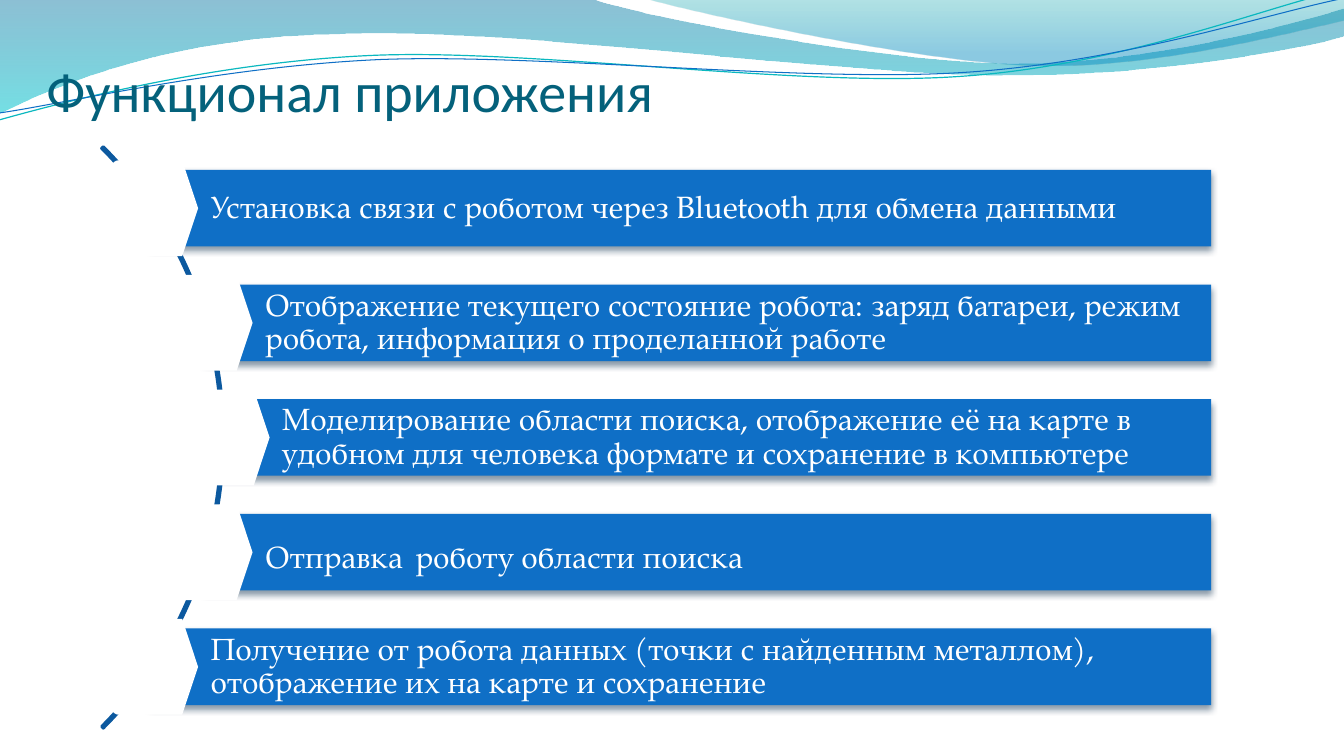
from lxml import etree
from pptx import Presentation
from pptx.dml.color import RGBColor
from pptx.enum import shapes as sh, text as tx
from pptx.oxml.ns import qn
from pptx.util import Pt

BLUE, WHITE = "0F6FC6", "FFFFFF"

# Outlines in points: a pair is a line end, six numbers are a cubic curve
BACK = [(0, 0), (422.6, -0.7), (456.5, 12.2, 637.2, 45.4, 727.9, 45.4),
        (819.4, 45.4, 920.2, 18.7, 959.8, 6.5), (961.2, 25.9),
        (943.9, 31.7, 835.2, 54.7, 715.7, 54),
        (596.9, 54, 366.5, 20.2, 247, 24.5),
        (123.1, 25.9, 43.9, 59.8, -0.7, 81.4)]
FRONT = [(460.1, -0.7), (488.9, 7.9, 654.5, 44.6, 738, 46.8),
         (821.5, 49.7, 923, 23, 959.8, 15.1), (959.8, 0)]
TEAL_LINE = [(-0.7, 85.7), (46.1, 72.7, 151.9, 44.6, 265.7, 39.6),
             (379.4, 34.6, 568.8, 62.6, 684, 54.7),
             (799.2, 47.5, 901.4, 5.8, 958.3, -7.2)]
BLUE_LINE = [(0, 80.6), (45.4, 74.2, 157, 47.5, 272.2, 42.5),
             (386.6, 38.2, 573.1, 59, 687.6, 51.8),
             (802.8, 44.6, 903.6, 10.1, 960.5, -1.4)]

# Left edges of the bars by distance from the middle one
LEFTS = (158.4, 146.2, 107.3)

# Each item is a list of (words, size) runs
ITEMS = [
    [("Установка связи с роботом через Bluetooth для обмена данными", 22)],
    [("Отображение текущего состояние робота: заряд батареи, режим робота, "
      "информация о проделанной работе", 22)],
    [("Моделирование области поиска, отображение её на карте в удобном для "
      "человека формате и сохранение в компьютере", 22)],
    [("Отправка", 22), (" ", 36), ("роботу области поиска", 22)],
    [("Получение от робота данных (точки с найденным металлом), "
      "отображение их на карте и сохранение", 22)],
]


def rgb(code):
    return RGBColor.from_string(code)


def paint(shape, fill=None, line=None, width=1):
    shape.shadow.inherit = False
    if fill:
        shape.fill.solid()
        shape.fill.fore_color.rgb = rgb(fill)
    else:
        shape.fill.background()
    if line:
        shape.line.color.rgb = rgb(line)
        shape.line.width = Pt(width)
    else:
        shape.line.fill.background()


def alpha(node, share):
    etree.SubElement(node, qn("a:alpha"), val=str(share * 1000))


def fade(shape, stops):
    """Fill from top to bottom with (place, colour, opacity) stops."""
    shape.fill.gradient()
    shape.fill.gradient_angle = 270
    for stop, (place, code, share) in zip(shape.fill.gradient_stops, stops):
        stop.position = place
        stop.color.rgb = rgb(code)
    nodes = shape.element.spPr.iter(qn("a:srgbClr"))
    for node, (place, code, share) in zip(nodes, stops):
        alpha(node, share)


def drop(shape):
    """Cast a soft shadow downwards."""
    effects = shape.element.spPr.find(qn("a:effectLst"))
    cast = etree.SubElement(effects, qn("a:outerShdw"), blurRad=str(Pt(4.5)),
                            dist=str(Pt(3)), dir="5400000", rotWithShape="0")
    alpha(etree.SubElement(cast, qn("a:srgbClr"), val="042747"), 48)


def bend(shape, outline):
    """Give the line steps of a freeform their curve handles."""
    steps = list(shape.element.spPr.iter(qn("a:lnTo")))
    for step, part in zip(steps, outline[1:]):
        if len(part) == 2:
            continue
        step.tag = qn("a:cubicBezTo")
        for i in (0, 1):
            x, y = part[2 * i:2 * i + 2]
            dot = etree.Element(qn("a:pt"), x=str(Pt(x) - shape.left),
                                y=str(Pt(y) - shape.top))
            step.insert(i, dot)


def wave(slide, outline, close, **look):
    dots = [(Pt(part[-2]), Pt(part[-1])) for part in outline]
    pen = slide.shapes.build_freeform(*dots[0])
    pen.add_line_segments(dots[1:], close=close)
    shape = pen.convert_to_shape()
    bend(shape, outline)
    paint(shape, **look)
    return shape


def block(slide, kind, x, y, w, h, **look):
    shape = slide.shapes.add_shape(kind, Pt(x), Pt(y), Pt(w), Pt(h))
    paint(shape, **look)
    return shape


def write(shape, runs, font, color, anchor, inset, spacing=1.0):
    frame = shape.text_frame
    frame.word_wrap = True
    frame.vertical_anchor = anchor
    (frame.margin_left, frame.margin_top,
     frame.margin_right, frame.margin_bottom) = map(Pt, inset)
    para = frame.paragraphs[0]
    para.alignment = tx.PP_ALIGN.LEFT
    para.line_spacing = spacing
    for words, size in runs:
        run = para.add_run()
        run.text = words
        run.font.name, run.font.size = font, Pt(size)
        run.font.color.rgb = rgb(color)


def feature(slide, runs, x, mid, right):
    """Blue bar with its white notch at the left."""
    high, notch = 54.7, 68.4
    bar = block(slide, sh.MSO_SHAPE.RECTANGLE, x, mid - high / 2,
                right - x, high, fill=BLUE)
    drop(bar)
    write(bar, runs, "TeX Gyre Pagella", WHITE, tx.MSO_ANCHOR.MIDDLE,
          (43.2, 4.3, 4.3, 4.3), 0.9)
    cap = block(slide, sh.MSO_SHAPE.FLOWCHART_DISPLAY, x - notch / 2,
                mid - notch / 2, notch, notch, fill=WHITE)
    cap.rotation = 180


def main():
    prs = Presentation()
    prs.slide_width, prs.slide_height = Pt(960), Pt(540)
    slide = prs.slides.add_slide(prs.slide_layouts[6])

    # Waves at the top
    fade(wave(slide, BACK, True), [(0, "0074A1", 45), (1, "00C6CF", 55)])
    fade(wave(slide, FRONT, True), [(0, "00A1A9", 30), (0.8, "008BBF", 45)])
    wave(slide, TEAL_LINE, False, line="0AB8BF", width=0.85)
    wave(slide, BLUE_LINE, False, line=BLUE, width=0.75)

    # Title
    title = slide.shapes.add_textbox(Pt(33.1), Pt(25.9), Pt(871.2), Pt(62.6))
    write(title, [("Функционал приложения", 40)], "Calibri", "04617B",
          tx.MSO_ANCHOR.BOTTOM, (0, 3.6, 0, 0))

    # Arc behind the list
    hub, mid, size = -133.9, 312.5, 587.5
    arc = block(slide, sh.MSO_SHAPE.BLOCK_ARC, hub - size / 2, mid - size / 2,
                size, size, line="0C599F", width=2)
    for i, value in enumerate((189, 27, 0.003)):
        arc.adjustments[i] = value

    # Bars, mirrored about the middle one
    pitch = 81.9
    for i, runs in enumerate(ITEMS):
        step = i - 2
        feature(slide, runs, LEFTS[abs(step)], mid + step * pitch, 865.1)

    prs.save("out.pptx")


if __name__ == "__main__":
    main()
